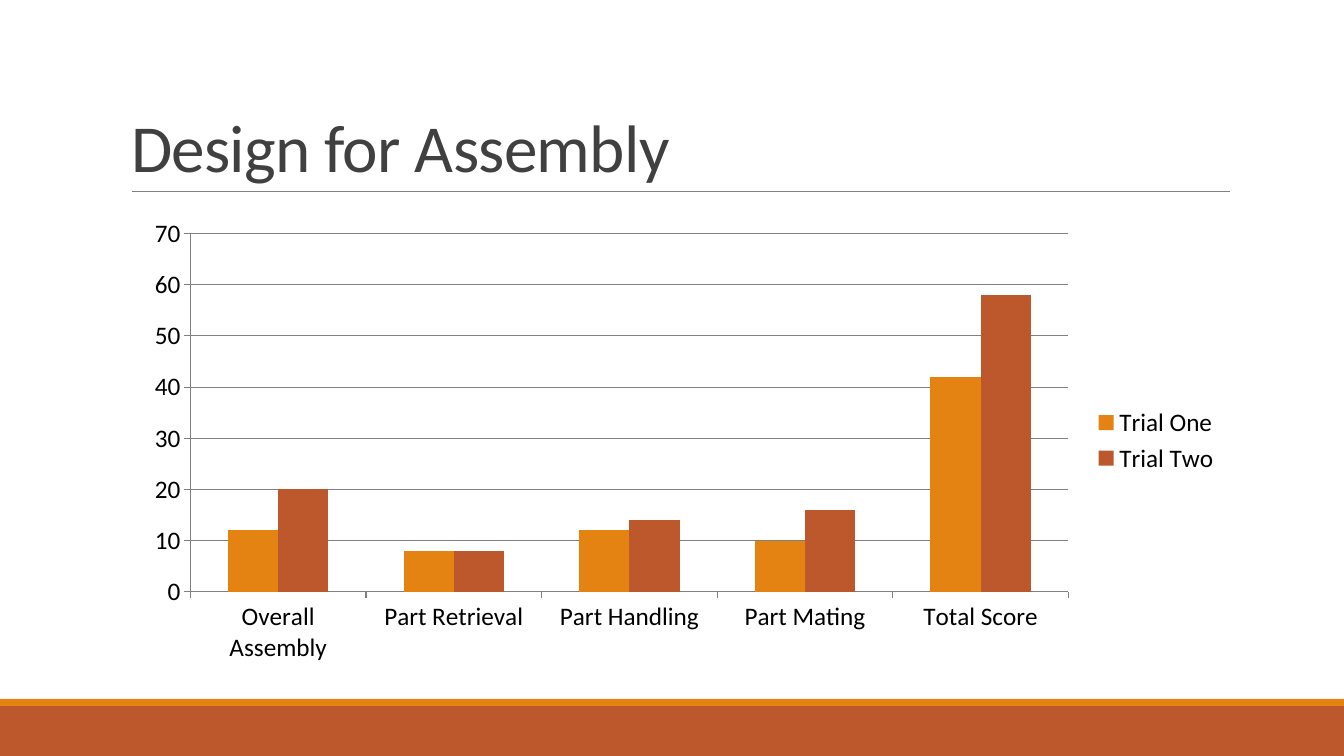
from lxml import etree
from pptx import Presentation
from pptx import util as u
from pptx.chart.data import CategoryChartData
from pptx.dml.color import RGBColor
from pptx.enum import chart as ch, shapes, text
from pptx.oxml.ns import qn

FONT = "Calibri"
ORANGE, RUST = "E48312", "BD582C"
GREY, DARK, BLACK = "808080", "404040", "000000"
WIDTH, HEIGHT = 1344, 756
CATEGORIES = ["Overall Assembly", "Part Retrieval", "Part Handling",
              "Part Mating", "Total Score"]
TRIALS = [("Trial One", [12, 8, 12, 10, 42], ORANGE),
          ("Trial Two", [20, 8, 14, 16, 58], RUST)]


def px(n):
    return u.Emu(round(n * 914400 / 100.8))


def rgb(value):
    return RGBColor.from_string(value)


def style_line(line, color, width):
    line.color.rgb = rgb(color)
    line.width = u.Pt(width)


def add_band(s, x, y, w, h, color):
    sp = s.shapes.add_shape(shapes.MSO_SHAPE.RECTANGLE, px(x), px(y), px(w), px(h))
    sp.shadow.inherit = False
    sp.fill.solid()
    sp.fill.fore_color.rgb = rgb(color)
    sp.line.fill.background()


def add_footer(s, x, y, w, h):
    stripe = 7
    add_band(s, x, y + stripe, w, h - stripe, RUST)
    add_band(s, x, y, w, stripe, ORANGE)


def add_title(s, x, y, w, h, title):
    rule = s.shapes.add_connector(shapes.MSO_CONNECTOR.STRAIGHT, px(x + 11), px(y + h),
                                  px(x + w), px(y + h))
    style_line(rule.line, GREY, 0.5)
    etree.SubElement(rule._element.spPr, qn("a:effectLst"))

    sp = s.shapes.title
    sp.left, sp.top, sp.width, sp.height = px(x), px(y), px(w), px(h)
    tf = sp.text_frame
    tf.text = title
    tf.word_wrap = True
    tf.auto_size = text.MSO_AUTO_SIZE.NONE
    tf.vertical_anchor = text.MSO_ANCHOR.BOTTOM
    p = tf.paragraphs[0]
    p.alignment = text.PP_ALIGN.LEFT
    p.line_spacing = 0.85
    r = p.runs[0]
    r.font.name, r.font.size = FONT, u.Pt(48)
    r.font.color.rgb = rgb(DARK)
    r._r.get_or_add_rPr().set("spc", "-50")


def add_score_chart(s, x, y, w, h):
    data = CategoryChartData()
    data.categories = CATEGORIES
    for name, values, _ in TRIALS:
        data.add_series(name, values)
    chart = s.shapes.add_chart(ch.XL_CHART_TYPE.COLUMN_CLUSTERED, px(x), px(y),
                               px(w), px(h), data).chart
    chart.has_title = False
    chart.font.name, chart.font.size = FONT, u.Pt(18)
    chart.font.color.rgb = rgb(BLACK)
    chart.has_legend = True
    chart.legend.position = ch.XL_LEGEND_POSITION.RIGHT
    chart.legend.include_in_layout = False

    plot = chart.plots[0]
    plot.gap_width, plot.overlap = 150, 0
    plot.vary_by_categories = False
    for series, (_, _, color) in zip(plot.series, TRIALS):
        series.format.fill.solid()
        series.format.fill.fore_color.rgb = rgb(color)

    for axis in (chart.category_axis, chart.value_axis):
        axis.major_tick_mark = ch.XL_TICK_MARK.OUTSIDE
        axis.minor_tick_mark = ch.XL_TICK_MARK.NONE
        style_line(axis.format.line, GREY, 0.75)
    axis = chart.value_axis
    axis.minimum_scale, axis.maximum_scale, axis.major_unit = 0, 70, 10
    axis.has_major_gridlines = True
    style_line(axis.major_gridlines.format.line, GREY, 0.75)


def main():
    prs = Presentation()
    prs.slide_width, prs.slide_height = px(WIDTH), px(HEIGHT)
    s = prs.slides.add_slide(prs.slide_layouts[5])
    add_footer(s, 0, 699, WIDTH, HEIGHT - 699)
    add_title(s, 121, 31, 1109, 160, "Design for Assembly")
    add_score_chart(s, 133, 209, 1097, 463)
    prs.save("out.pptx")


if __name__ == "__main__":
    main()
